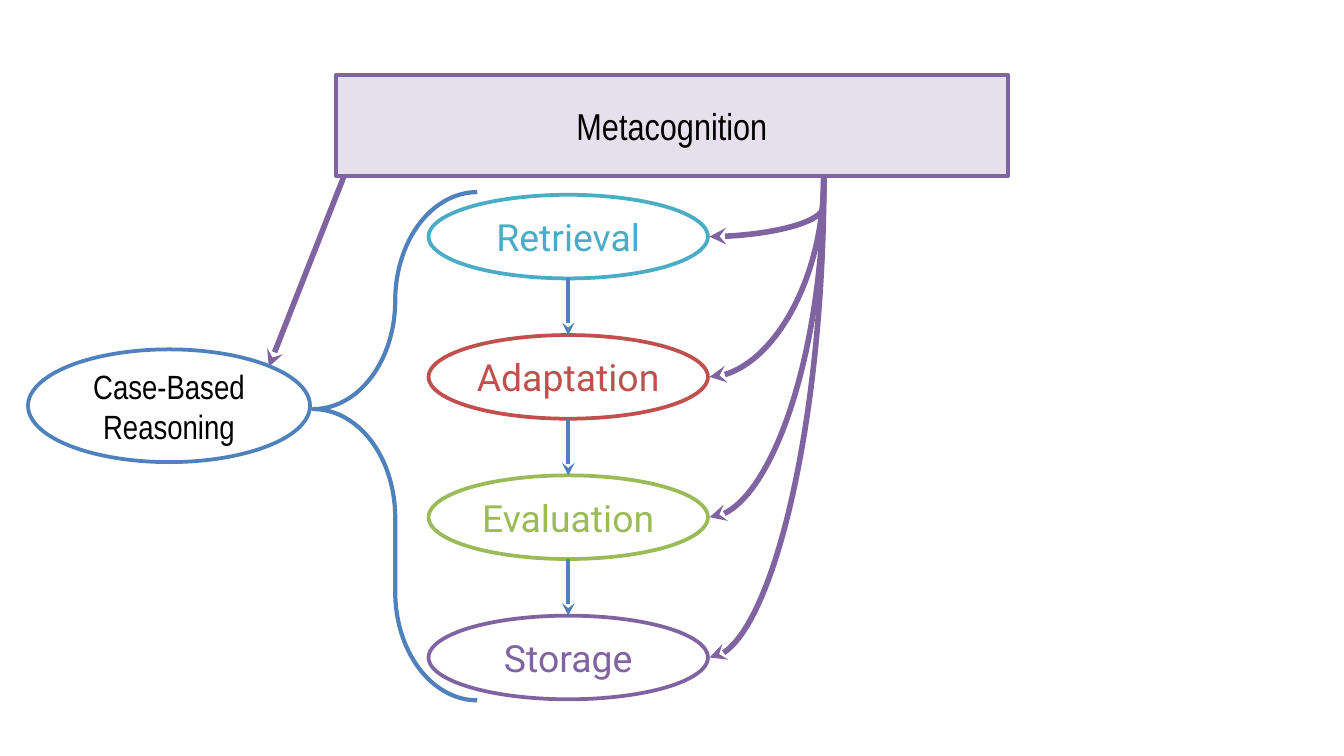
from lxml import etree
from pptx import Presentation
from pptx import util as u
from pptx.dml.color import RGBColor
from pptx.enum import shapes, text
from pptx.oxml.ns import qn

COLORS = {
    "black": "000000", "white": "FFFFFF", "lavender": "E6E0EC",
    "blue": "4F81BD", "teal": "4BACC6", "red": "C0504D",
    "green": "9BBB59", "purple": "8064A2",
}
STEPS = [("Retrieval", "teal"), ("Adaptation", "red"),
         ("Evaluation", "green"), ("Storage", "purple")]

# Lengths in centimetres
STEP_LEFT, STEP_TOP, STEP_WIDTH, STEP_HEIGHT = 8.1, 3.68, 5.28, 1.58
STEP_PITCH = 2.65
BOX_BOTTOM = 3.33
FAN_X, FAN_END_X = 15.57, 13.41


def color(name):
    return RGBColor.from_string(COLORS[name])


def add_outline(shape, line_color, width):
    shape.shadow.inherit = False
    shape.line.color.rgb = color(line_color)
    shape.line.width = u.Pt(width)


def add_node(parent, kind, place, label, fill, line, ink, font, size, margin=None):
    """Filled shape with one centred label."""
    node = parent.add_shape(kind, *map(u.Cm, place))
    node.fill.solid()
    node.fill.fore_color.rgb = color(fill)
    add_outline(node, line, 2)
    frame = node.text_frame
    frame.word_wrap = True
    frame.vertical_anchor = text.MSO_ANCHOR.MIDDLE
    if margin is not None:
        frame.margin_left = frame.margin_right = u.Cm(margin)
        frame.margin_top = frame.margin_bottom = u.Cm(margin)
    frame.text = label
    para = frame.paragraphs[0]
    para.alignment = text.PP_ALIGN.CENTER
    span = para.runs[0]
    span.font.name = font
    span.font.size = u.Pt(size)
    span.font.color.rgb = color(ink)


def add_arrow(parent, kind, start, end, line, width):
    arrow = parent.add_connector(kind, *map(u.Cm, (*start, *end)))
    arrow.line.color.rgb = color(line)
    arrow.line.width = u.Pt(width)
    etree.SubElement(arrow.line._get_or_add_ln(), qn("a:tailEnd"), type="stealth")
    etree.SubElement(arrow._element.spPr, qn("a:effectLst"))
    return arrow


def add_quarter_curve(parent, start, end):
    """Arrow that leaves downwards and arrives from the right."""
    arrow = add_arrow(parent, shapes.MSO_CONNECTOR.CURVE, start, end, "purple", 3)
    width, height = start[0] - end[0], end[1] - start[1]
    center_x, center_y = (start[0] + end[0]) / 2, (start[1] + end[1]) / 2
    # The frame is stored before its quarter turn, so its sides swap
    arrow.left, arrow.top = u.Cm(center_x - height / 2), u.Cm(center_y - width / 2)
    arrow.width, arrow.height = u.Cm(height), u.Cm(width)
    properties = arrow._element.spPr
    frame = properties.find(qn("a:xfrm"))
    frame.attrib.pop("flipH", None)
    frame.set("rot", str(90 * 60000))
    properties.find(qn("a:prstGeom")).set("prst", "curvedConnector2")


def add_early_bend(parent, start, end):
    """Curved arrow whose bend lies right at its start."""
    arrow = add_arrow(parent, shapes.MSO_CONNECTOR.CURVE, start, end, "purple", 3)
    geometry = arrow._element.spPr.find(qn("a:prstGeom"))
    guides = geometry.find(qn("a:avLst"))
    etree.SubElement(guides, qn("a:gd"), name="adj1", fmla="val 500")


def add_steps(parent):
    group = parent.add_group_shape().shapes
    center_x = STEP_LEFT + STEP_WIDTH / 2
    for index, (label, ink) in enumerate(STEPS):
        top = STEP_TOP + index * STEP_PITCH
        add_node(group, shapes.MSO_SHAPE.OVAL, (STEP_LEFT, top, STEP_WIDTH, STEP_HEIGHT),
                 label, "white", ink, ink, "Roboto", 20, margin=0)
        if index:
            previous_bottom = top - STEP_PITCH + STEP_HEIGHT
            add_arrow(group, shapes.MSO_CONNECTOR.STRAIGHT, (center_x, previous_bottom),
                      (center_x, top), "blue", 2.25)


def add_fan(parent):
    start = (FAN_X, BOX_BOTTOM)
    ends = [(FAN_END_X, STEP_TOP + STEP_HEIGHT / 2 + index * STEP_PITCH)
            for index in range(len(STEPS))]
    for end in ends[1:]:
        add_quarter_curve(parent, start, end)
    add_early_bend(parent, start, ends[0])


def main():
    deck = Presentation()
    deck.slide_width, deck.slide_height = u.Cm(25.4), u.Cm(14.28)
    page = deck.slides.add_slide(deck.slide_layouts[6]).shapes

    # Controlling layer and the process it watches
    add_node(page, shapes.MSO_SHAPE.RECTANGLE, (6.35, 1.42, 12.7, 1.91),
             "Metacognition", "lavender", "purple", "black", "Arial Narrow", 20)
    add_arrow(page, shapes.MSO_CONNECTOR.STRAIGHT, (6.5, BOX_BOTTOM), (5.08, 6.93),
              "purple", 3)
    add_node(page, shapes.MSO_SHAPE.OVAL, (0.53, 6.6, 5.33, 2.13),
             "Case-Based Reasoning", "white", "blue", "black", "Arial Narrow", 18)

    # Brace that opens the process into its steps
    brace = page.add_shape(shapes.MSO_SHAPE.LEFT_BRACE,
                           *map(u.Cm, (5.92, 3.63, 3.1, 9.6)))
    brace.adjustments[0], brace.adjustments[1] = 0.776, 0.427
    brace.fill.background()
    add_outline(brace, "blue", 2.25)

    # Steps and the arrows that reach each of them
    add_steps(page)
    add_fan(page)
    deck.save("out.pptx")


if __name__ == "__main__":
    main()
